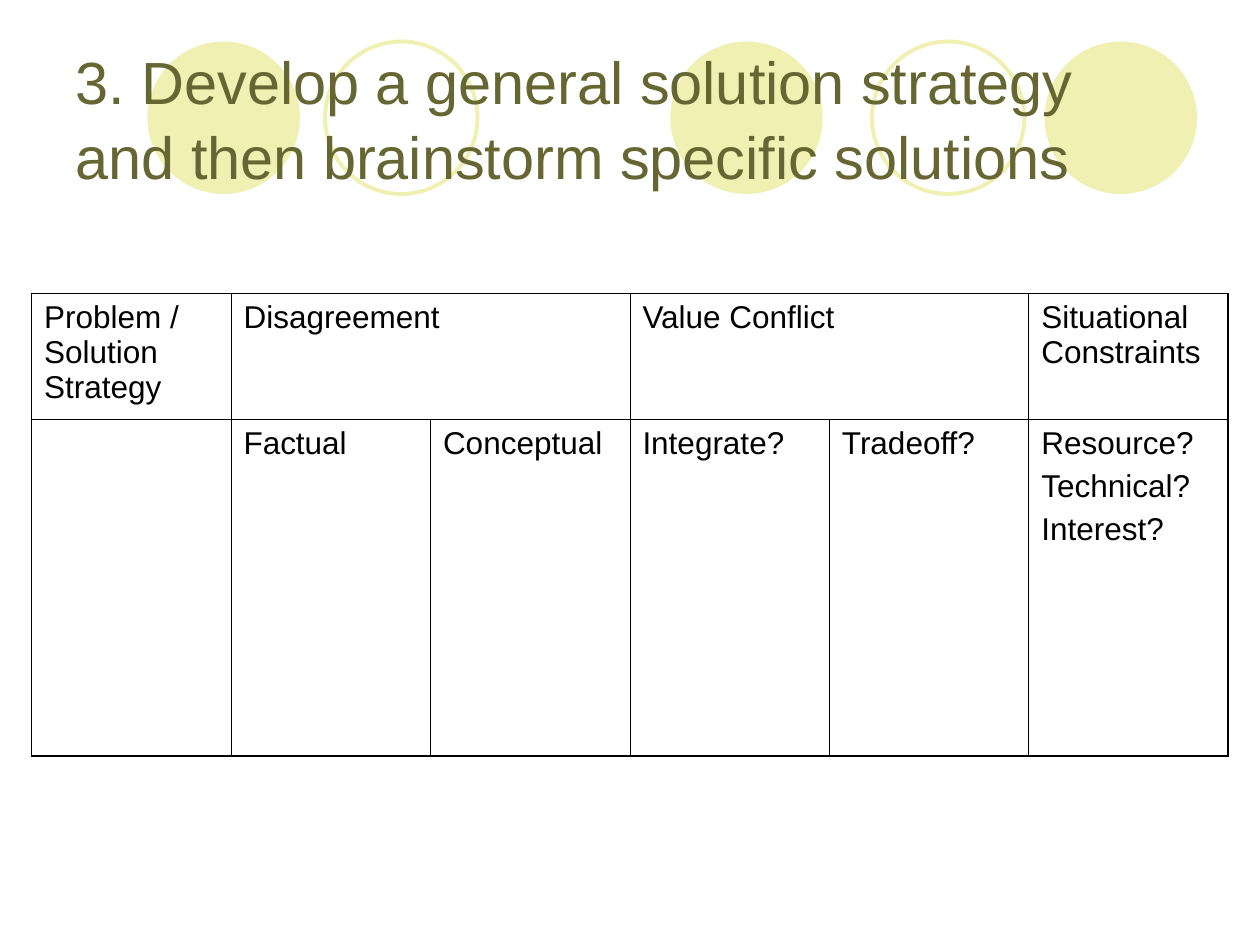
from dataclasses import dataclass
from lxml import etree
from pptx import Presentation
from pptx.dml.color import RGBColor
from pptx.enum.shapes import MSO_SHAPE
from pptx.enum.text import MSO_ANCHOR, PP_ALIGN
from pptx.oxml.ns import qn
from pptx.util import Inches, Pt

OVAL = MSO_SHAPE.OVAL
LEFT = PP_ALIGN.LEFT
MIDDLE = MSO_ANCHOR.MIDDLE


@dataclass
class Theme:
    face: str = "Arial"
    title: str = "666633"
    ring: str = "EFF0B2"
    ink: str = "000000"
    head: float = 34
    body: float = 18
    ring_line: float = 2.25
    outer: float = 1.08
    inner: float = 0.45


theme = Theme()


def write(frame, text, size, color, gap=0, pitch=None):
    frame.text = text
    for i, para in enumerate(frame.paragraphs):
        para.alignment = LEFT
        para.space_before = Pt(gap if i else 0)
        para.line_spacing = pitch
        para.font.name = theme.face
        para.font.size = Pt(size)
        para.font.color.rgb = RGBColor.from_string(color)


def border(cell, side, width):
    props = cell._tc.get_or_add_tcPr()
    line = etree.SubElement(props, qn(f"a:ln{side}"), w=str(Pt(width)))
    fill = etree.SubElement(line, qn("a:solidFill"))
    etree.SubElement(fill, qn("a:srgbClr"), val=theme.ink)


deck = Presentation()
deck.slide_width = Inches(10)
deck.slide_height = Inches(7.5)
slide = deck.slides.add_slide(deck.slide_layouts[5])
shapes = slide.shapes

rings = [(1.17, True), (2.58, False), (5.32, True), (6.92, False), (8.29, True)]
for x, solid in rings:
    ring = shapes.add_shape(OVAL, Inches(x), Inches(0.33), Inches(1.21), Inches(1.21))
    ring.shadow.inherit = False
    if solid:
        ring.fill.solid()
        ring.fill.fore_color.rgb = RGBColor.from_string(theme.ring)
        ring.line.fill.background()
    else:
        ring.fill.background()
        ring.line.color.rgb = RGBColor.from_string(theme.ring)
        ring.line.width = Pt(theme.ring_line)

title = shapes.title
title.left, title.top = Inches(0.5), Inches(0.3)
title.width, title.height = Inches(9), Inches(1.25)
title.text_frame.word_wrap = True
title.text_frame.vertical_anchor = MIDDLE
write(title.text_frame, "3. Develop a general solution strategy and then brainstorm specific solutions",
      size=theme.head, color=theme.title, pitch=1.05)
title.element.getparent().append(title.element)

rows = [
    ["Problem / Solution Strategy", "Disagreement", "", "Value Conflict", "", "Situational Constraints"],
    ["", "Factual", "Conceptual", "Integrate?", "Tradeoff?", "Resource?\nTechnical?\nInterest?"],
]
heights = [1, 2.67]
count = len(rows[0])
table = shapes.add_table(len(rows), count, Inches(0.25), Inches(2.33),
                         Inches(9.5), Inches(sum(heights))).table
table.first_row = False
table.horz_banding = False
for col in table.columns:
    col.width = Inches(9.5 / count)
for row, height in zip(table.rows, heights):
    row.height = Inches(height)
for start in (1, 3):
    table.cell(0, start).merge(table.cell(0, start + 1))

for r, texts in enumerate(rows):
    for c, text in enumerate(texts):
        cell = table.cell(r, c)
        write(cell.text_frame, text, size=theme.body, color=theme.ink, gap=4.5)
        edges = {"L": c == 0, "R": c == count - 1, "T": r == 0, "B": r == len(rows) - 1}
        for side, edge in edges.items():
            border(cell, side, theme.outer if edge else theme.inner)
        cell.fill.background()

deck.save("out.pptx")
